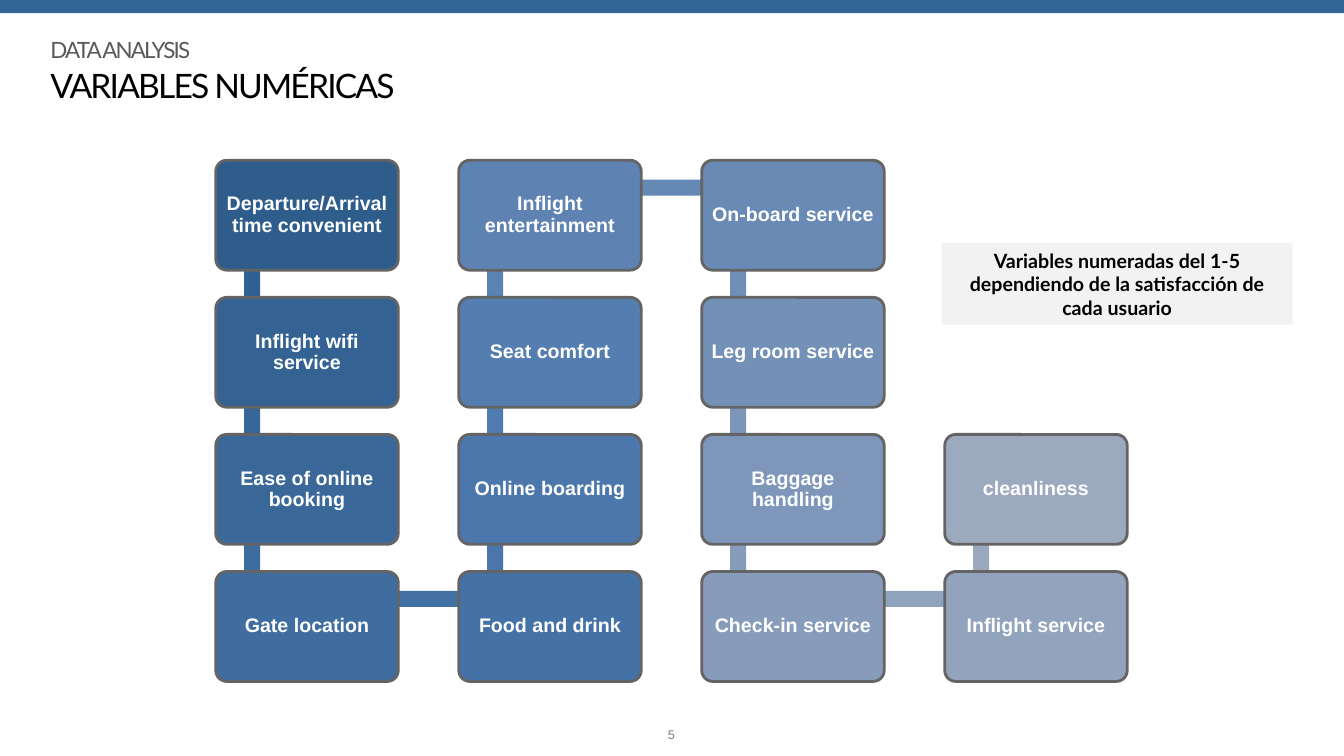
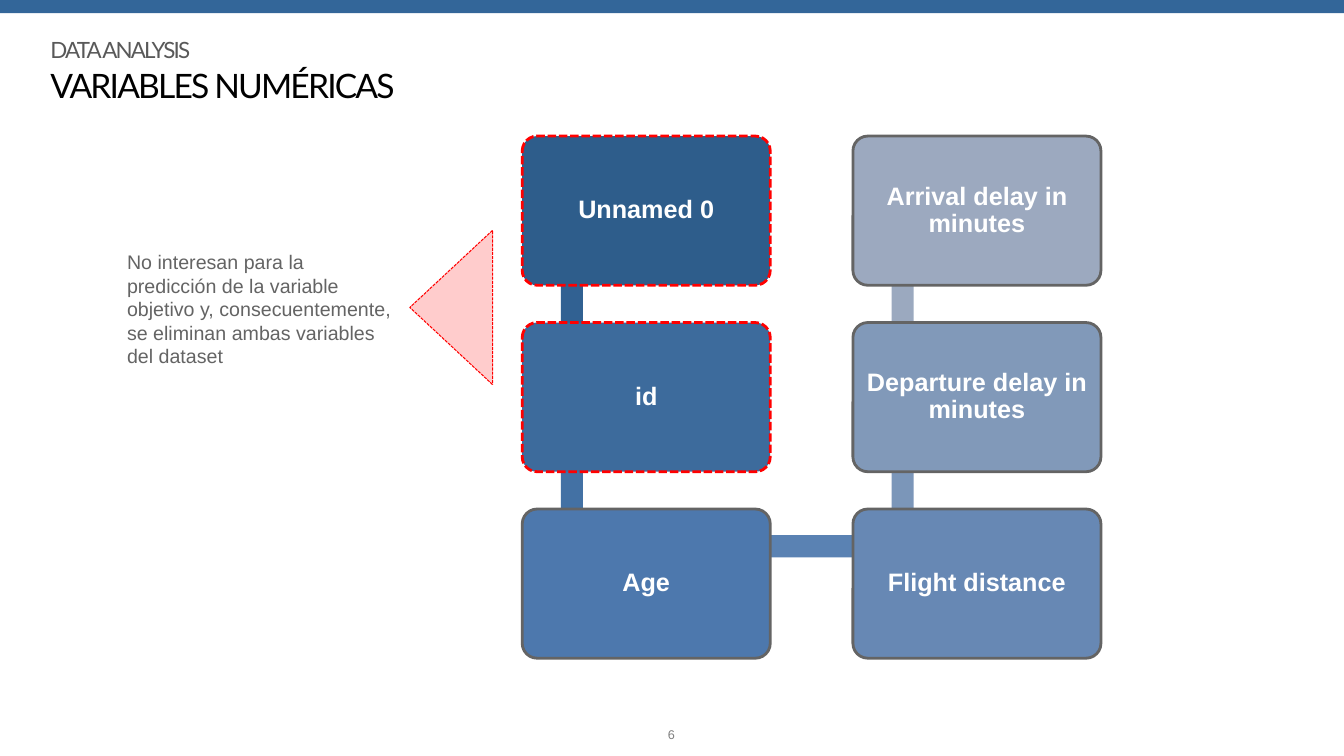
from itertools import pairwise

from pptx import Presentation
from pptx.dml.color import RGBColor
from pptx.enum.dml import MSO_LINE
from pptx.enum.shapes import MSO_SHAPE as SHAPE
from pptx.enum.text import MSO_ANCHOR as ANCHOR, PP_ALIGN as ALIGN
from pptx.util import Inches, Pt

COLORS = {
    "band": "336699", "title": "000000", "section": "595959", "number": "808080",
    "body": "646464", "border": "646464", "white": "FFFFFF", "callout": "F2F2F2",
    "alert": "FF0000", "alert_fill": "FFCCCC",
    "box_start": "2E5D8B", "box_deep": "4B77AC", "box_mid": "547DB0", "box_end": "9CA9BF",
    "bar_start": "316192", "bar_mid": "507CB1", "bar_end": "9BA9BF",
}
BOX_RAMP = [(0, "box_start"), (0.38, "box_deep"), (0.46, "box_mid"), (1, "box_end")]
BAR_RAMP = [(0, "bar_start"), (0.42, "bar_mid"), (1, "bar_end")]

SERVICES = [
    "Departure/Arrival time convenient", "Inflight wifi service",
    "Ease of online booking", "Gate location", "Food and drink", "Online boarding",
    "Seat comfort", "Inflight entertainment", "On-board service", "Leg room service",
    "Baggage handling", "Check-in service", "Inflight service", "cleanliness",
]
OTHERS = [
    "Unnamed 0", "id", "Age", "Flight distance",
    "Departure delay in minutes", "Arrival delay in minutes",
]


def rgb(name):
    return RGBColor.from_string(COLORS[name])


def ramp_color(stops, t):
    for (t0, first), (t1, last) in pairwise(stops):
        if t <= t1:
            k = (t - t0) / (t1 - t0)
            return RGBColor(*(round(a + (b - a) * k) for a, b in zip(rgb(first), rgb(last))))


def add_block(s, kind, box, fill, line=None, width=2, dashed=False):
    sp = s.shapes.add_shape(kind, *map(Inches, box))
    sp.shadow.inherit = False
    sp.fill.solid()
    sp.fill.fore_color.rgb = fill
    if line is None:
        sp.line.fill.background()
    else:
        sp.line.color.rgb = line
        sp.line.width = Pt(width)
        if dashed:
            sp.line.dash_style = MSO_LINE.SQUARE_DOT
    return sp


def set_text(sp, text, size, color, font="Arial", bold=False, align=ALIGN.LEFT,
             anchor=ANCHOR.TOP, insets=(0, 0, 0, 0), spacing=None, tracking=None):
    tf = sp.text_frame
    tf.word_wrap = True
    tf.vertical_anchor = anchor
    tf.margin_left, tf.margin_top, tf.margin_right, tf.margin_bottom = map(Inches, insets)
    p = tf.paragraphs[0]
    r = p.add_run()
    r.text = text
    p.alignment = align
    if spacing:
        p.line_spacing = spacing
    p.font.name = font
    p.font.size = Pt(size)
    p.font.bold = bold
    p.font.color.rgb = rgb(color)
    if tracking:
        r._r.get_or_add_rPr().set("spc", str(round(tracking * 100)))


def add_text(s, box, text, size, color, **style):
    set_text(s.shapes.add_textbox(*map(Inches, box)), text, size, color, **style)


def add_slide(prs, number):
    s = prs.slides.add_slide(prs.slide_layouts[6])
    add_text(s, (6.51, 7.21, 0.3, 0.15), str(number), 9, "number", align=ALIGN.CENTER)
    add_block(s, SHAPE.RECTANGLE, (0, 0, 13.33, 0.13), rgb("band"))
    add_text(s, (0.5, 0.64, 12.32, 0.89), "VARIABLES NUMÉRICAS", 24, "title",
             font="Lato", tracking=-1.3)
    add_text(s, (0.5, 0.32, 12.32, 0.32), "DATA ANALYSIS", 16, "section",
             font="Lato", tracking=-1.3, spacing=Pt(21.9))
    return s


def add_snake(s, labels, rows, origin, size, pitch, bar, font_size, inset, flagged=0):
    left, top = origin
    w, h = size
    dx, dy = pitch
    spots = []
    for i in range(len(labels)):
        col, row = divmod(i, rows)
        if col % 2:
            row = rows - 1 - row
        spots.append((left + col * dx, top + row * dy))

    links = list(pairwise(spots))
    for i, ((x0, y0), (x1, y1)) in enumerate(links):
        x = min(x0, x1) + 0.2 * w
        y = min(y0, y1) + 0.25 * h
        if x0 == x1:
            box = (x - bar / 2, y, bar, dy)
        else:
            box = (x, y - bar / 2, dx, bar)
        add_block(s, SHAPE.RECTANGLE, box, ramp_color(BAR_RAMP, i / (len(links) - 1)))

    for i, (label, spot) in enumerate(zip(labels, spots)):
        alert = i < flagged
        sp = add_block(s, SHAPE.ROUNDED_RECTANGLE, (*spot, w, h),
                       ramp_color(BOX_RAMP, i / (len(labels) - 1)),
                       rgb("alert" if alert else "border"), dashed=alert)
        sp.adjustments[0] = 0.1
        set_text(sp, label, font_size, "white", bold=True, align=ALIGN.CENTER,
                 anchor=ANCHOR.MIDDLE, insets=(inset,) * 4, spacing=0.9)


def build_services(prs):
    s = add_slide(prs, 5)
    add_snake(s, SERVICES, rows=4, origin=(2.14, 1.59), size=(1.81, 1.09),
              pitch=(2.41, 1.36), bar=0.16, font_size=14, inset=0.06)
    sp = add_block(s, SHAPE.RECTANGLE, (9.34, 2.41, 3.48, 0.81), rgb("callout"))
    set_text(sp, "Variables numeradas del 1-5 dependiendo de la satisfacción de cada usuario",
             14, "title", font="Lato", bold=True, align=ALIGN.CENTER,
             anchor=ANCHOR.MIDDLE, insets=(0.1, 0.05, 0.1, 0.05))


def build_others(prs):
    s = add_slide(prs, 6)
    add_snake(s, OTHERS, rows=3, origin=(5.18, 1.35), size=(2.46, 1.48),
              pitch=(3.28, 1.85), bar=0.22, font_size=18, inset=0.07, flagged=2)
    add_text(s, (1.26, 2.44, 2.65, 1.22),
             "No interesan para la predicción de la variable objetivo y, "
             "consecuentemente, se eliminan ambas variables del dataset",
             14, "body", insets=(0, 0.04, 0, 0))
    sp = add_block(s, SHAPE.ISOSCELES_TRIANGLE, (3.71, 2.64, 1.53, 0.82),
                   rgb("alert_fill"), rgb("alert"), width=0.75, dashed=True)
    sp.rotation = 270


def main():
    prs = Presentation()
    prs.slide_width = Inches(13.33)
    prs.slide_height = Inches(7.5)
    build_services(prs)
    build_others(prs)
    prs.save("out.pptx")


if __name__ == "__main__":
    main()
